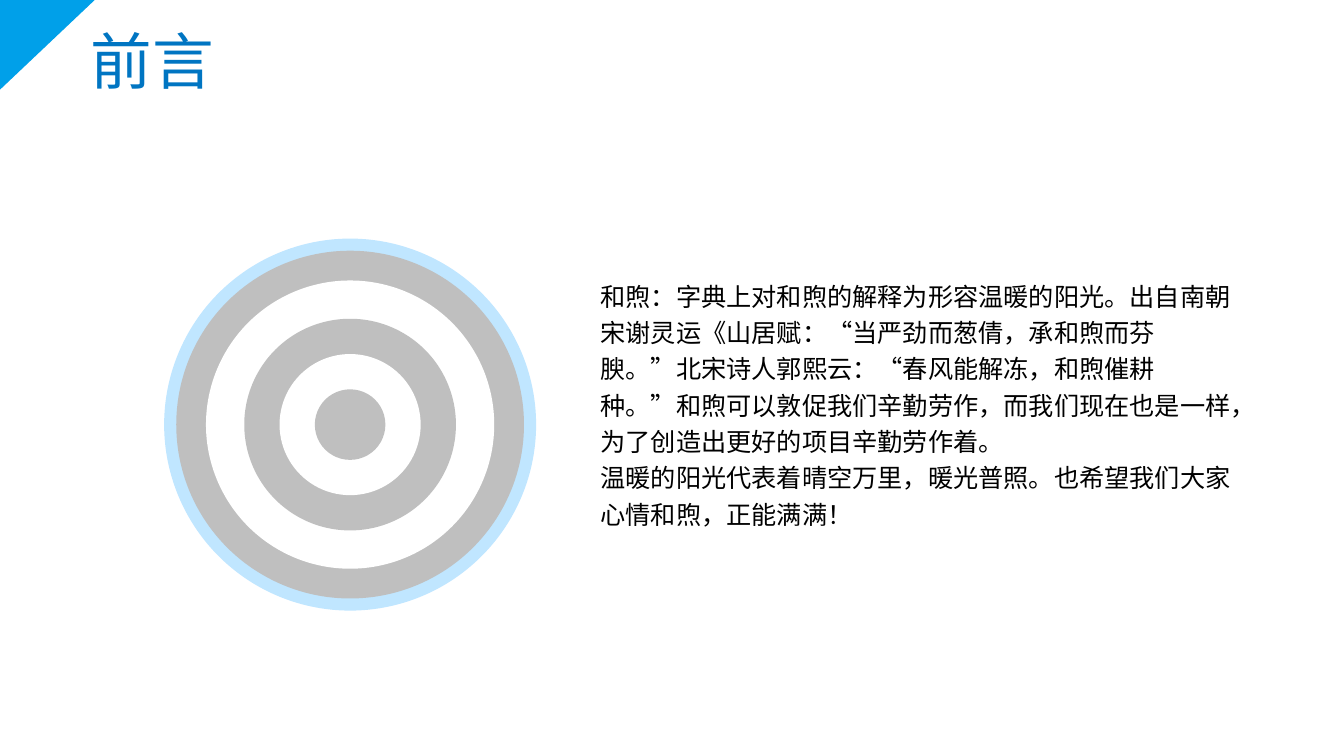
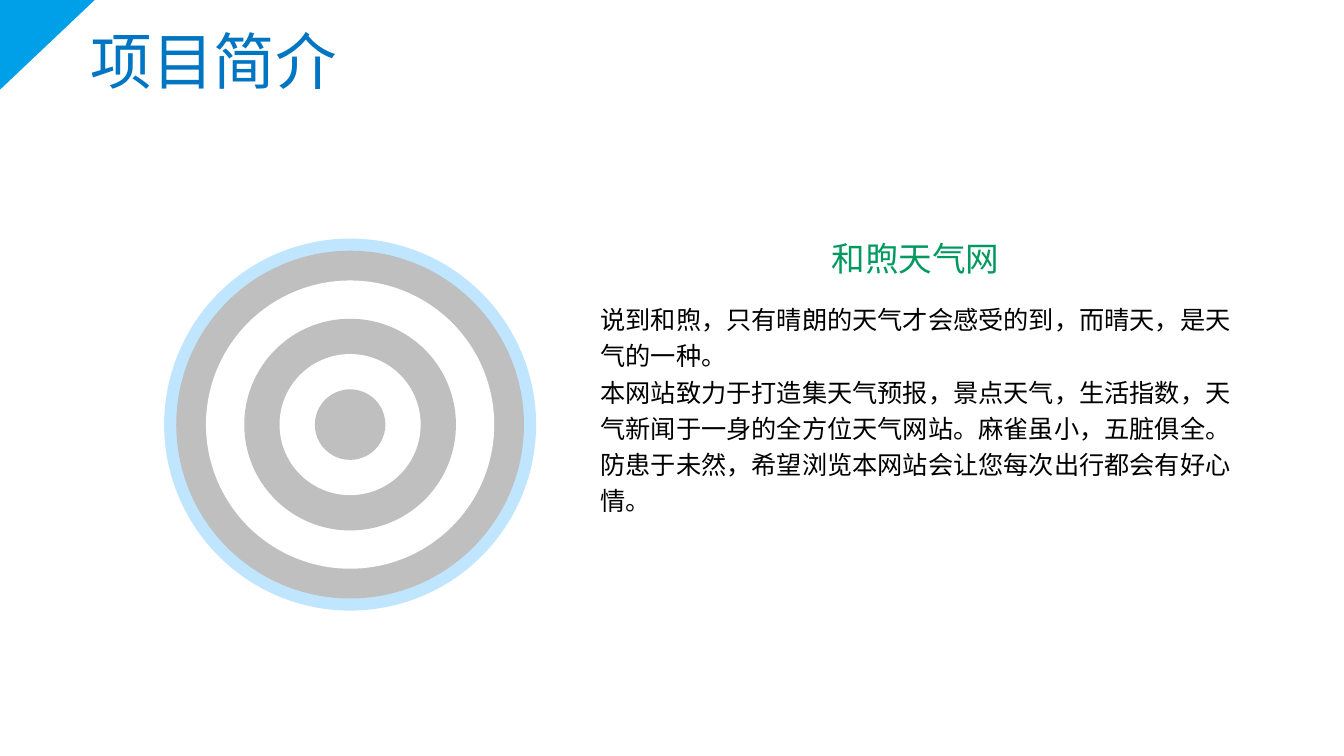
from dataclasses import dataclass
from lxml import etree
from pptx import Presentation
from pptx.dml.color import RGBColor as RGB
from pptx.enum.shapes import MSO_SHAPE as Shape
from pptx.enum.text import MSO_AUTO_SIZE as Fit
from pptx.oxml.ns import qn
from pptx.util import Pt


@dataclass(frozen=True)
class Theme:
    """Colours, fonts and type sizes of the deck."""
    corner: str = "00A0E9"
    title: str = "0075C2"
    head: str = "009A61"
    body: str = "000000"
    rim: str = "C0E6FF"
    grey: str = "BFBFBF"
    white: str = "FFFFFF"
    sans: str = "Open Sans"
    han: str = "Noto Sans CJK SC"
    big: int = 44
    mid: int = 24
    small: int = 18


T = Theme()
RINGS = (
    (265.7, T.rim), (248.4, T.grey), (205.9, T.white),
    (151.2, T.grey), (100.8, T.white), (50.4, T.grey),
)
PREFACE = (
    "和煦：字典上对和煦的解释为形容温暖的阳光。出自南朝 宋谢灵运《山居赋：“当严劲而葱倩，承和煦而芬腴。”"
    "北宋诗人郭熙云：“春风能解冻，和煦催耕种。”和煦可以敦促我们辛勤劳作，而我们现在也是一样，"
    "为了创造出更好的项目辛勤劳作着。",
    "温暖的阳光代表着晴空万里，暖光普照。也希望我们大家心情和煦，正能满满！",
)
PROJECT = (
    "说到和煦，只有晴朗的天气才会感受的到，而晴天，是天气的一种。",
    "本网站致力于打造集天气预报，景点天气，生活指数，天气新闻于一身的全方位天气网站。麻雀虽小，五脏俱全。",
    "防患于未然，希望浏览本网站会让您每次出行都会有好心情。",
)


def add_solid(shapes, kind, box, color):
    """Add a borderless preset shape in one colour."""
    shape = shapes.add_shape(kind, *map(Pt, box))
    shape.shadow.inherit = False
    shape.fill.solid()
    shape.fill.fore_color.rgb = RGB.from_string(color)
    shape.line.fill.background()
    return shape


def add_text(slide, box, lines, size, color, face=T.han, lead=None):
    """Add a wrapping text box with one paragraph per line."""
    frame = slide.shapes.add_textbox(*map(Pt, box)).text_frame
    frame.word_wrap = True
    frame.auto_size = Fit.SHAPE_TO_FIT_TEXT
    frame.text = "\n".join(lines)
    for para in frame.paragraphs:
        para.line_spacing = lead
        font = para.font
        font.size = Pt(size)
        font.color.rgb = RGB.from_string(color)
        font.name = face
        etree.SubElement(font._element, qn("a:ea"), typeface=T.han)


def add_target(slide, x, y):
    """Add the group of rings centred on a point."""
    group = slide.shapes.add_group_shape()
    for size, color in RINGS:
        box = (x - size / 2, y - size / 2, size, size)
        add_solid(group.shapes, Shape.OVAL, box, color)


def add_page(deck, title):
    """Add a slide with the corner, the target and a title."""
    slide = deck.slides.add_slide(deck.slide_layouts[6])
    corner = add_solid(slide.shapes, Shape.RIGHT_TRIANGLE, (0, 0, 67.7, 64.1), T.corner)
    corner._element.spPr.xfrm.set("flipV", "1")
    add_target(slide, 250.1, 303.3)
    add_text(slide, (57.6, 13, 309, 60.5), [title], T.big, T.title)
    return slide


def add_body(slide, top, high, lines, face):
    """Add the body text to the right of the target."""
    add_text(slide, (421.9, top, 470.2, high), lines, T.small, T.body, face, 1.2)


def main():
    """Build and save the deck."""
    deck = Presentation()
    deck.slide_width, deck.slide_height = Pt(960), Pt(540)
    add_body(add_page(deck, "前言"), 193, 190, PREFACE, T.sans)
    page = add_page(deck, "项目简介")
    add_text(page, (586.8, 166.3, 239, 36), ["和煦天气网"], T.mid, T.head, T.sans)
    add_body(page, 209.5, 164, PROJECT, T.han)
    deck.save("out.pptx")


if __name__ == "__main__":
    main()
